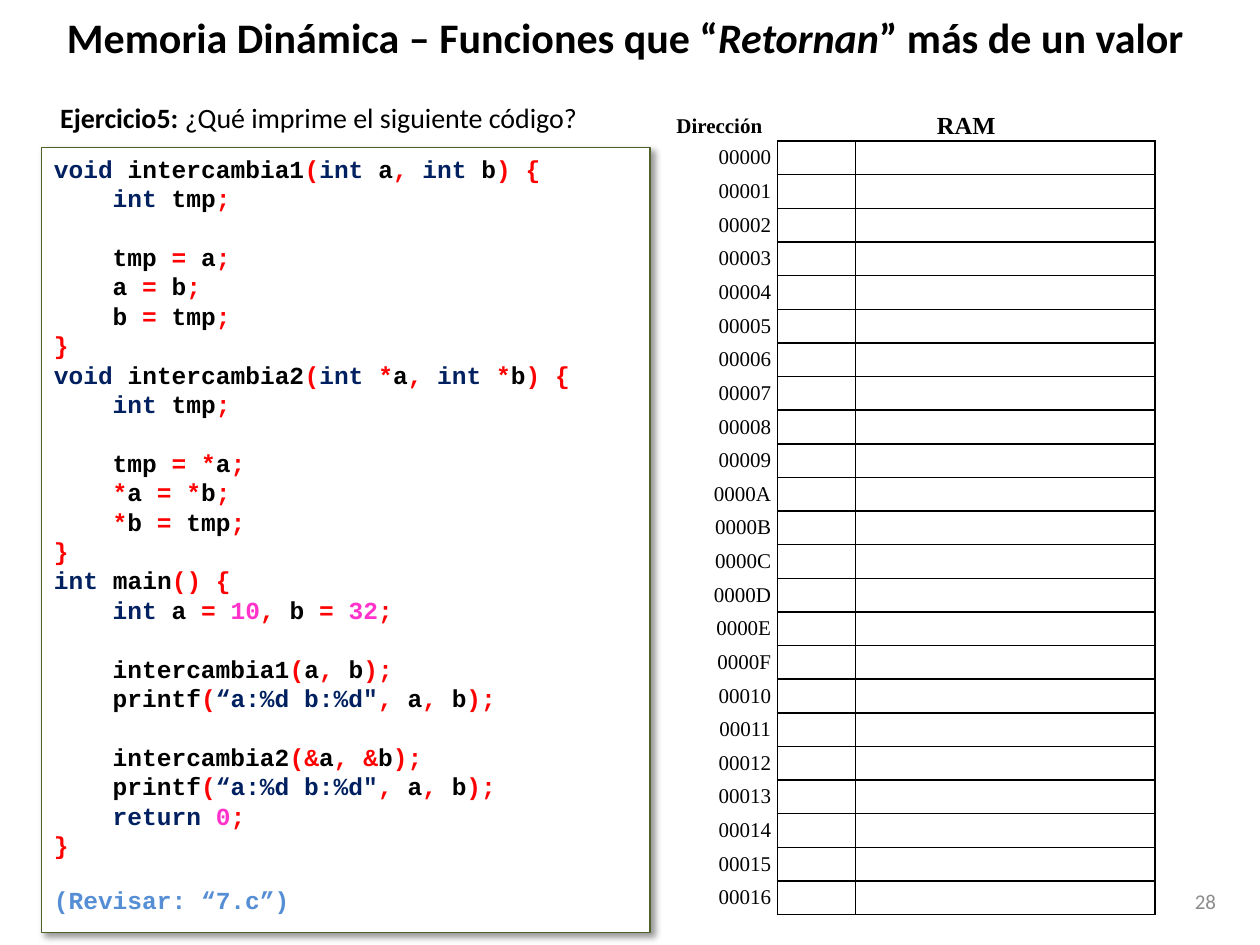
import itertools

import lxml.etree
import pptx
import pptx.dml.color
import pptx.enum.shapes
import pptx.enum.text
import pptx.oxml
import pptx.oxml.ns
import pptx.util

COLORS = {
    "black": "000000", "white": "FFFFFF", "gray": "8C8C8C", "olive": "4F6228",
    "keyword": "002060", "symbol": "FF0000", "number": "FF33CC", "remark": "558ED5",
}
KEYWORDS = {"void", "int", "return"}
ALIGN = pptx.enum.text.PP_ALIGN
ANCHOR = pptx.enum.text.MSO_ANCHOR
qn = pptx.oxml.ns.qn

deck = pptx.Presentation()
deck.slide_width = pptx.util.Inches(10)
deck.slide_height = pptx.util.Inches(7.5)
COLUMN = deck.slide_width / 100
ROW = deck.slide_height / 100
page = deck.slides.add_slide(deck.slide_layouts[6])


def write(para, text, font="Calibri", size=12, color="black", bold=False, italic=False):
    span = para.add_run()
    span.text = text
    span.font.name = font
    span.font.size = pptx.util.Pt(size)
    span.font.bold = bold
    span.font.italic = italic
    span.font.color.rgb = pptx.dml.color.RGBColor.from_string(COLORS[color])


def draw_borders(cell, sides):
    properties = cell._tc.get_or_add_tcPr()
    for side in sides:
        line = lxml.etree.SubElement(properties, qn(f"a:ln{side}"), w="12700")
        fill = lxml.etree.SubElement(line, qn("a:solidFill"))
        lxml.etree.SubElement(fill, qn("a:srgbClr"), val=COLORS["black"])


# Page number, title and question: left, top, width, height, anchor, alignment, spans
plain_boxes = [
    (93.3, 92.67, 4.2, 5.33, ANCHOR.MIDDLE, ALIGN.RIGHT,
     [("28", {"color": "gray"})]),
    (0, 0, 100, 7.73, ANCHOR.MIDDLE, ALIGN.CENTER,
     [("Memoria Dinámica – Funciones que “", {"size": 24, "bold": True}),
      ("Retornan", {"size": 24, "bold": True, "italic": True}),
      ("” más de un valor ", {"size": 24, "bold": True})]),
    (3.8, 10, 45.4, 4.93, ANCHOR.TOP, ALIGN.JUSTIFY,
     [("Ejercicio5: ", {"size": 16, "bold": True}),
      ("¿Qué imprime el siguiente código?", {"size": 16})]),
]
for left, top, width, height, anchor, align, spans in plain_boxes:
    box = page.shapes.add_textbox(
        int(left * COLUMN), int(top * ROW), int(width * COLUMN), int(height * ROW))
    box.text_frame.word_wrap = True
    box.text_frame.vertical_anchor = anchor
    para = box.text_frame.paragraphs[0]
    para.alignment = align
    for text, style in spans:
        write(para, text, **style)

# Memory table: one address column and eight bit columns
ADDRESSES = 23
BITS = 8
widths = [9.2, 6.2] + [3.4] * (BITS - 1)
heights = [3.2] + [3.56] * ADDRESSES
frame = page.shapes.add_table(
    ADDRESSES + 1, BITS + 1, int(52.5 * COLUMN), int(11.73 * ROW),
    int(sum(widths) * COLUMN), int(sum(heights) * ROW))
memory = frame.table
memory.first_row = memory.horz_banding = False
memory._tbl.tblPr.find(qn("a:tableStyleId")).text = "{2D5ABB26-0587-4C30-8999-92F81FD0307C}"
for column, width in zip(memory.columns, widths):
    column.width = int(width * COLUMN)
for row, height in zip(memory.rows, heights):
    row.height = int(height * ROW)
memory.cell(0, 1).merge(memory.cell(0, BITS))

for row, column in itertools.product(range(ADDRESSES + 1), range(BITS + 1)):
    cell = memory.cell(row, column)
    cell.margin_left = cell.margin_right = pptx.util.Inches(0.05)
    cell.margin_top = cell.margin_bottom = 0
    cell.vertical_anchor = ANCHOR.MIDDLE
    para = cell.text_frame.paragraphs[0]
    para.alignment = ALIGN.RIGHT if row else ALIGN.CENTER
    if row == 0:
        draw_borders(cell, "B" if column else "")
    elif column == 0:
        draw_borders(cell, "R")
    else:
        draw_borders(cell, {1: "LTB", BITS: "RTB"}.get(column, "TB"))
    cell.fill.background()
    if row and column == 0:
        write(para, f"{row - 1:05X}", font="Times New Roman")
    elif column == 0:
        write(para, "Dirección", font="Times New Roman", bold=True)
    elif (row, column) == (0, 1):
        write(para, "RAM", font="Times New Roman", size=14, bold=True)
    else:
        lxml.etree.SubElement(para._p, qn("a:endParaRPr"), sz="1200")

# Code panel with its soft shadow
panel = page.shapes.add_shape(
    pptx.enum.shapes.MSO_SHAPE.RECTANGLE,
    int(3.3 * COLUMN), int(15.6 * ROW), int(48.3 * COLUMN), int(83.07 * ROW))
panel.fill.solid()
panel.fill.fore_color.rgb = pptx.dml.color.RGBColor.from_string(COLORS["white"])
panel.line.color.rgb = pptx.dml.color.RGBColor.from_string(COLORS["olive"])
panel.line.width = pptx.util.Pt(0.75)
panel.shadow.inherit = False
effects = panel._element.spPr.find(qn("a:effectLst"))
shadow = lxml.etree.SubElement(
    effects, qn("a:outerShdw"), blurRad="50800", dist="38100", dir="2700000", algn="tl")
tint = lxml.etree.SubElement(shadow, qn("a:srgbClr"), val=COLORS["black"])
lxml.etree.SubElement(tint, qn("a:alpha"), val="40000")

# Code lines: a tab marks the indent, an empty line becomes space before the next
CODE = """void intercambia1(int a, int b) {
\tint tmp;

\ttmp = a;
\ta = b;
\tb = tmp;
}
void intercambia2(int *a, int *b) {
\tint tmp;

\ttmp = *a;
\t*a = *b;
\t*b = tmp;
}
int main() {
\tint a = 10, b = 32;

\tintercambia1(a, b);
\tprintf(“a:%d b:%d", a, b);

\tintercambia2(&a, &b);
\tprintf(“a:%d b:%d", a, b);
\treturn 0;
}

(Revisar: “7.c”)"""
CODE_SIZE = 14
PITCH = 16.8
INDENT = 4 * 0.6 * CODE_SIZE
code_style = {"font": "Courier New", "size": CODE_SIZE, "bold": True}

body = panel.text_frame
body.word_wrap = True
body.vertical_anchor = ANCHOR.TOP
para = body.paragraphs[0]
gap = 0
for number, line in enumerate(CODE.split("\n")):
    if not line:
        gap = PITCH
        continue
    if number:
        para = body.add_paragraph()
    para.alignment = ALIGN.LEFT
    para.line_spacing = pptx.util.Pt(PITCH)
    para.space_before = pptx.util.Pt(gap)
    gap = 0
    if line.startswith("\t"):
        para._p.get_or_add_pPr().set("marL", str(pptx.util.Pt(INDENT)))
    if line.startswith("("):
        para.space_before = pptx.util.Pt(14.4)
        write(para, line, color="remark", **code_style)
        continue
    before, opening, rest = line.strip().partition("“")
    literal, closing, after = rest.partition('"')
    for part in (before, opening + literal + closing, after):
        if part.startswith("“"):
            write(para, part, color="keyword", **code_style)
            continue
        for is_word, letters in itertools.groupby(part, str.isalnum):
            token = "".join(letters)
            color = "symbol"
            if is_word:
                color = "keyword" if token in KEYWORDS else "black"
                color = "number" if token.isdigit() else color
            write(para, token, color=color, **code_style)

deck.save("out.pptx")
